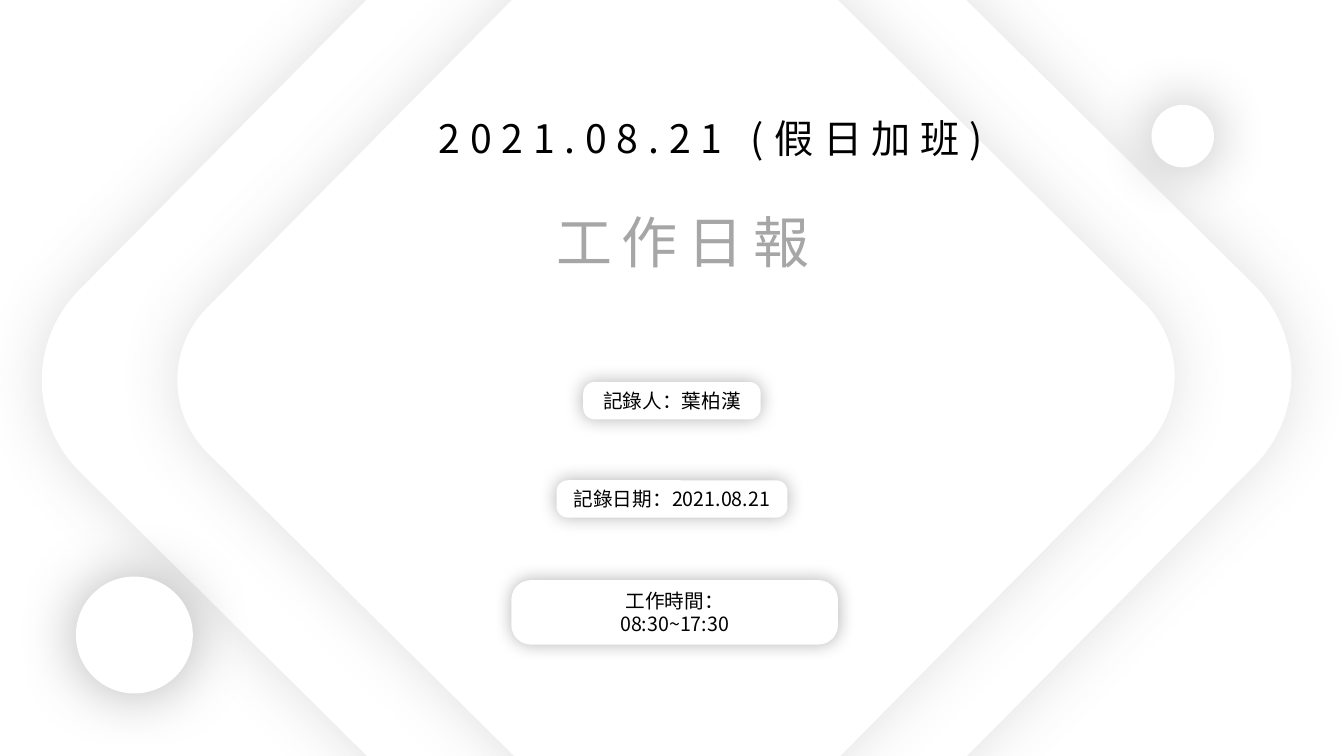
from lxml import etree
from pptx import Presentation
from pptx.dml.color import RGBColor
from pptx.enum.shapes import MSO_SHAPE as SHAPE
from pptx.enum.text import MSO_ANCHOR as ANCHOR, MSO_AUTO_SIZE as AUTO, PP_ALIGN as ALIGN
from pptx.oxml.ns import qn
from pptx.util import Inches, Pt

WHITE = RGBColor(0xFF, 0xFF, 0xFF)
BLACK = RGBColor(0x00, 0x00, 0x00)
GREY = RGBColor(0xA6, 0xA6, 0xA6)
SMOKE = RGBColor(0x59, 0x59, 0x59)
FONT = "Noto Sans CJK SC"
WIDTH, HEIGHT = 13.33, 7.5


def centred(cx, cy, w, h):
    """Left, top, width and height of a box around a centre, in inches."""
    return [Inches(v) for v in (cx - w / 2, cy - h / 2, w, h)]


def add_plate(shapes, kind, box, shadow, corner=None):
    """White shape with a soft shadow, given as colour, opacity % and blur."""
    sp = shapes.add_shape(kind, *box)
    sp.fill.solid()
    sp.fill.fore_color.rgb = WHITE
    sp.line.fill.background()
    if corner is not None:
        sp.adjustments[0] = corner
    sp.shadow.inherit = False
    colour, opacity, blur = shadow
    effects = sp._element.spPr.find(qn("a:effectLst"))
    outer = etree.SubElement(effects, qn("a:outerShdw"), blurRad=str(Pt(blur)),
                             dist="0", dir="0", algn="ctr", rotWithShape="0")
    clr = etree.SubElement(outer, qn("a:srgbClr"), val=str(colour))
    etree.SubElement(clr, qn("a:alpha"), val=str(opacity * 1000))
    return sp


def add_label(shapes, box, text, size, colour=BLACK, spacing=0):
    """Centred text box; spacing is the letter spacing in points."""
    tf = shapes.add_textbox(*box).text_frame
    tf.word_wrap = True
    tf.auto_size = AUTO.SHAPE_TO_FIT_TEXT
    tf.vertical_anchor = ANCHOR.TOP
    tf.text = text
    for p in tf.paragraphs:
        p.alignment = ALIGN.CENTER
        for r in p.runs:
            r.font.size = Pt(size)
            r.font.color.rgb = colour
            r.font.name = FONT
            rPr = r._r.get_or_add_rPr()
            etree.SubElement(rPr, qn("a:ea"), typeface=FONT)
            if spacing:
                rPr.set("spc", str(spacing * 100))


def add_backdrop(s, w, h):
    """Two nested diamonds."""
    for cx, side in ((0.496, 9.51), (0.503, 7.59)):
        sp = add_plate(s.shapes, SHAPE.ROUNDED_RECTANGLE,
                       centred(cx * w, h / 2, side, side), (SMOKE, 19, 43), 0.134)
        sp.rotation = 44.7


def add_discs(s, w, h):
    """A disc in each of two opposite corners."""
    for cx, cy, size in ((0.1, 0.84, 1.16), (0.88, 0.18, 0.62)):
        add_plate(s.shapes, SHAPE.OVAL, centred(cx * w, cy * h, size, size),
                  (BLACK, 30, 43))


def add_titles(s, w, h):
    """Date line and report title."""
    add_label(s.shapes, centred(0.529 * w, 0.183 * h, 8.78, 0.57),
              "2021.08.21 (假日加班)", 28, spacing=7)
    add_label(s.shapes, centred(0.508 * w, 0.319 * h, 4.75, 0.77),
              "工作日報", 40, GREY, spacing=7)


def add_details(s, w, h):
    """Column of pills, each grouped with its text."""
    details = (
        ("記錄人：葉柏漢", 0.5, 0.53, (1.76, 0.37), (2.09, 0.34)),
        ("記錄日期：2021.08.21", 0.5, 0.66, (2.29, 0.37), (2.41, 0.34)),
        ("工作時間：\n08:30~17:30", 0.502, 0.81, (3.24, 0.64), (3.41, 0.57)),
    )
    for text, cx, cy, pill, label in details:
        group = s.shapes.add_group_shape()
        add_plate(group.shapes, SHAPE.ROUNDED_RECTANGLE,
                  centred(cx * w, cy * h, *pill), (BLACK, 30, 13), 0.302)
        add_label(group.shapes, centred(cx * w, cy * h, *label), text, 14)


def main():
    prs = Presentation()
    prs.slide_width, prs.slide_height = Inches(WIDTH), Inches(HEIGHT)
    s = prs.slides.add_slide(prs.slide_layouts[6])
    s.background.fill.solid()
    s.background.fill.fore_color.rgb = WHITE
    for add_part in (add_backdrop, add_titles, add_discs, add_details):
        add_part(s, WIDTH, HEIGHT)
    prs.save("out.pptx")


if __name__ == "__main__":
    main()
